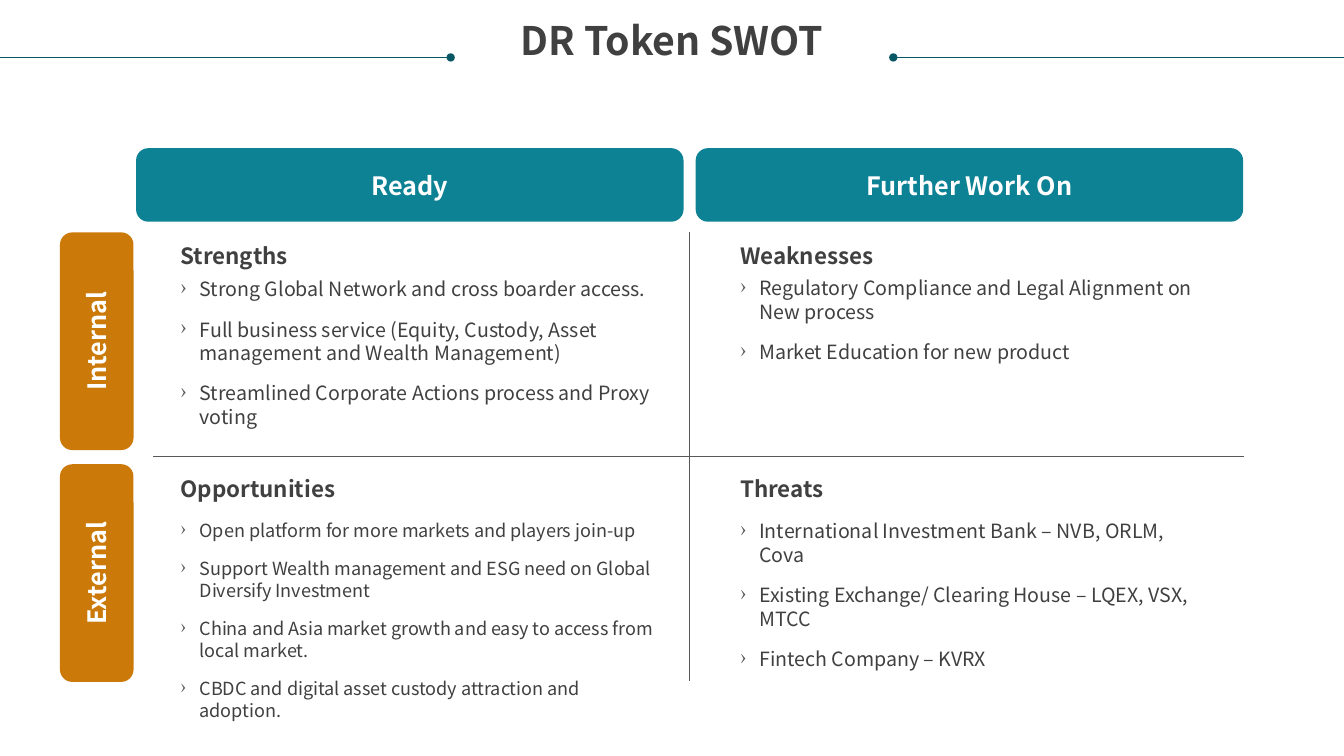
import lxml.etree
import pptx
import pptx.dml.color
import pptx.enum.shapes
import pptx.enum.text
import pptx.oxml.ns
import pptx.util

FONT = "Noto Sans CJK SC"
TEAL, ORANGE, DARK, GREY, WHITE = "0D8295", "CB7A09", "404040", "585858", "FFFFFF"
HEADER_LINE = "085764"
Inches = pptx.util.Inches
SHAPES = pptx.enum.shapes.MSO_SHAPE
CENTER = pptx.enum.text.PP_ALIGN.CENTER

presentation = pptx.Presentation()
presentation.slide_width, presentation.slide_height = Inches(13.33), Inches(7.5)
slide = presentation.slides.add_slide(presentation.slide_layouts[6])


def color(hex_string):
    """Turn a hex string into a colour."""
    return pptx.dml.color.RGBColor.from_string(hex_string)


def write(shape, lines, size, hex_string, bold=False, align=None):
    """Put one paragraph per line into a shape and format its runs."""
    text_frame = shape.text_frame
    text_frame.word_wrap = True
    text_frame.margin_left = text_frame.margin_right = 0
    text_frame.margin_top = text_frame.margin_bottom = 0
    text_frame.text = "\n".join(lines)
    for paragraph in text_frame.paragraphs:
        paragraph.alignment = align
        for run in paragraph.runs:
            run.font.name, run.font.size = FONT, pptx.util.Pt(size)
            run.font.bold, run.font.color.rgb = bold, color(hex_string)
    return text_frame


# Title between two header lines, and the cross that divides the quadrants
title = slide.shapes.add_textbox(Inches(0.25), Inches(0.21), Inches(12.83), Inches(0.42))
write(title, ["DR Token SWOT"], 28, DARK, True, CENTER).paragraphs[0].line_spacing = 0.9

lines = [
    (0, 0.57, 4.47, 0.57, HEADER_LINE, "tailEnd"),
    (8.86, 0.57, 13.33, 0.57, HEADER_LINE, "headEnd"),
    (1.52, 4.53, 12.34, 4.53, GREY, None),
    (6.84, 2.3, 6.84, 6.76, GREY, None),
]
for x1, y1, x2, y2, line_color, dot_end in lines:
    connector = slide.shapes.add_connector(
        pptx.enum.shapes.MSO_CONNECTOR.STRAIGHT, Inches(x1), Inches(y1), Inches(x2), Inches(y2))
    connector.line.color.rgb = color(line_color)
    connector.line.width = pptx.util.Pt(0.5)
    properties = connector.element.spPr
    if dot_end:
        outline = properties.find(pptx.oxml.ns.qn("a:ln"))
        lxml.etree.SubElement(outline, pptx.oxml.ns.qn("a:" + dot_end), type="oval")
    lxml.etree.SubElement(properties, pptx.oxml.ns.qn("a:effectLst"))

# Column headers and row labels; the labels are turned to read upwards
column_width, row_height, band = 5.43, 2.16, 0.73
labels = [
    ("Ready", 1.35, 1.47, column_width, TEAL, 0),
    ("Further Work On", 6.9, 1.47, column_width, TEAL, 0),
    ("Internal", -0.12, 3.02, row_height, ORANGE, 270),
    ("External", -0.12, 5.32, row_height, ORANGE, 270),
]
for label, left, top, width, fill, rotation in labels:
    shape = slide.shapes.add_shape(
        SHAPES.ROUNDED_RECTANGLE, Inches(left), Inches(top), Inches(width), Inches(band))
    shape.rotation = rotation
    shape.shadow.inherit = False
    shape.fill.solid()
    shape.fill.fore_color.rgb = color(fill)
    shape.line.fill.background()
    text_frame = write(shape, [label], 18, WHITE, True, CENTER)
    text_frame.vertical_anchor = pptx.enum.text.MSO_ANCHOR.MIDDLE

# Quadrants: heading, column, row, list top, list width, text size, items
column_lefts, heading_tops = (1.79, 7.34), (2.4, 4.71)
quadrants = [
    ("Strengths", 0, 0, 2.75, 4.88, 14, [
        "Strong Global Network and cross boarder access.",
        "Full business service (Equity, Custody, Asset management and Wealth Management)",
        "Streamlined Corporate Actions process and Proxy voting"]),
    ("Weaknesses", 1, 0, 2.74, 4.55, 14, [
        "Regulatory Compliance and Legal Alignment on New process",
        "Market Education for new product"]),
    ("Opportunities", 0, 1, 5.15, 4.71, 12.9, [
        "Open platform for more markets and players join-up",
        "Support Wealth management and ESG need on Global Diversify Investment",
        "China and Asia market growth and easy to access from local market.",
        "CBDC and digital asset custody attraction and adoption."]),
    ("Threats", 1, 1, 5.15, 4.55, 14, [
        "International Investment Bank – NVB, ORLM, Cova",
        "Existing Exchange/ Clearing House – LQEX, VSX, MTCC",
        "Fintech Company – KVRX"]),
]
indent = Inches(0.19)
for heading, column, row, list_top, list_width, size, items in quadrants:
    left = Inches(column_lefts[column])
    heading_box = slide.shapes.add_textbox(
        left, Inches(heading_tops[row]), Inches(4.55), Inches(0.27))
    write(heading_box, [heading], 16, DARK, True)
    list_box = slide.shapes.add_textbox(
        left, Inches(list_top), Inches(list_width), Inches(1.55))
    for paragraph in write(list_box, items, size, DARK).paragraphs:
        paragraph.space_before = pptx.util.Pt(12)
        properties = paragraph._p.get_or_add_pPr()
        properties.set("marL", str(indent))
        properties.set("indent", str(-indent))
        bullet_color = lxml.etree.SubElement(properties, pptx.oxml.ns.qn("a:buClr"))
        lxml.etree.SubElement(bullet_color, pptx.oxml.ns.qn("a:srgbClr"), val=GREY)
        lxml.etree.SubElement(properties, pptx.oxml.ns.qn("a:buChar"), char="›")

presentation.save("out.pptx")
